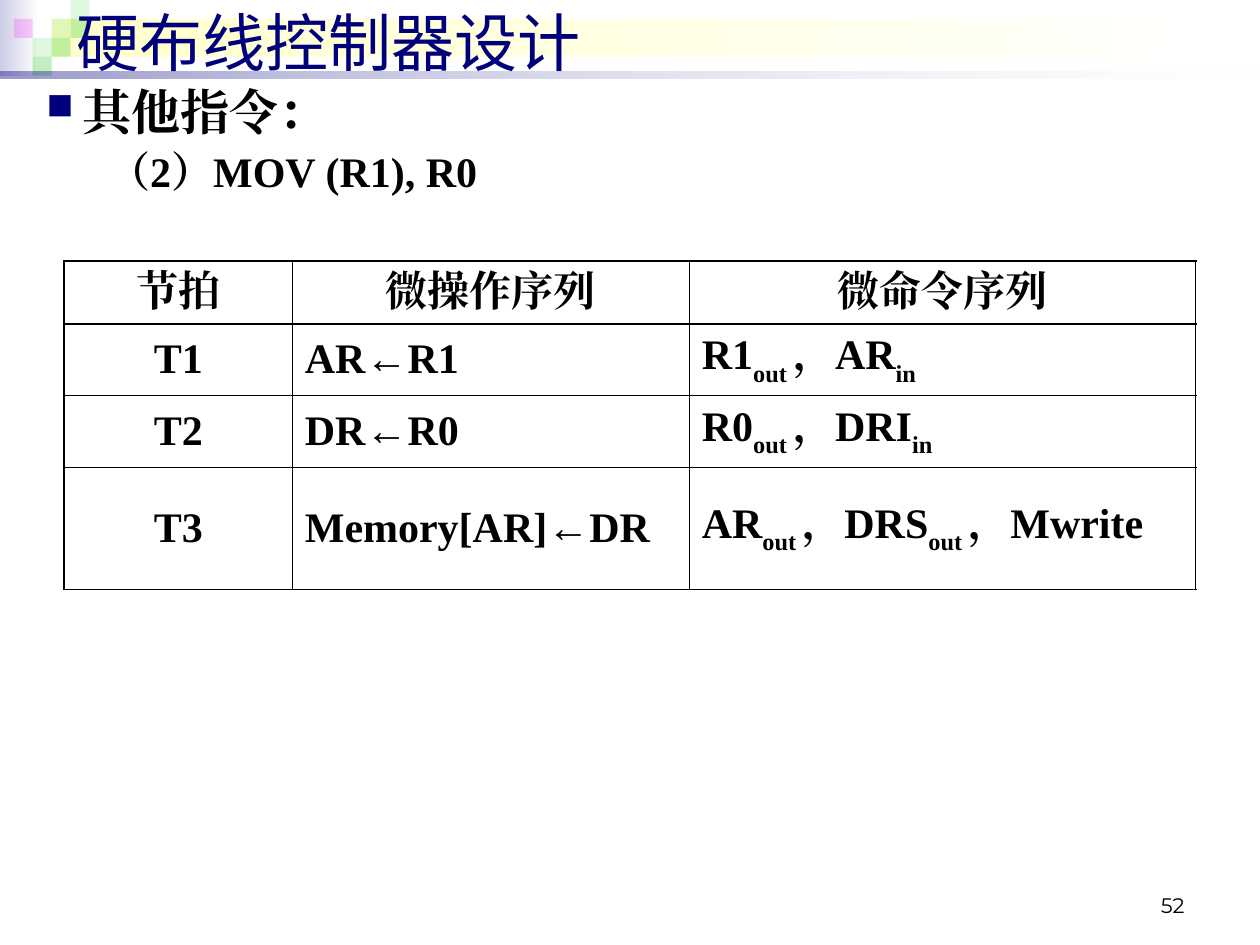
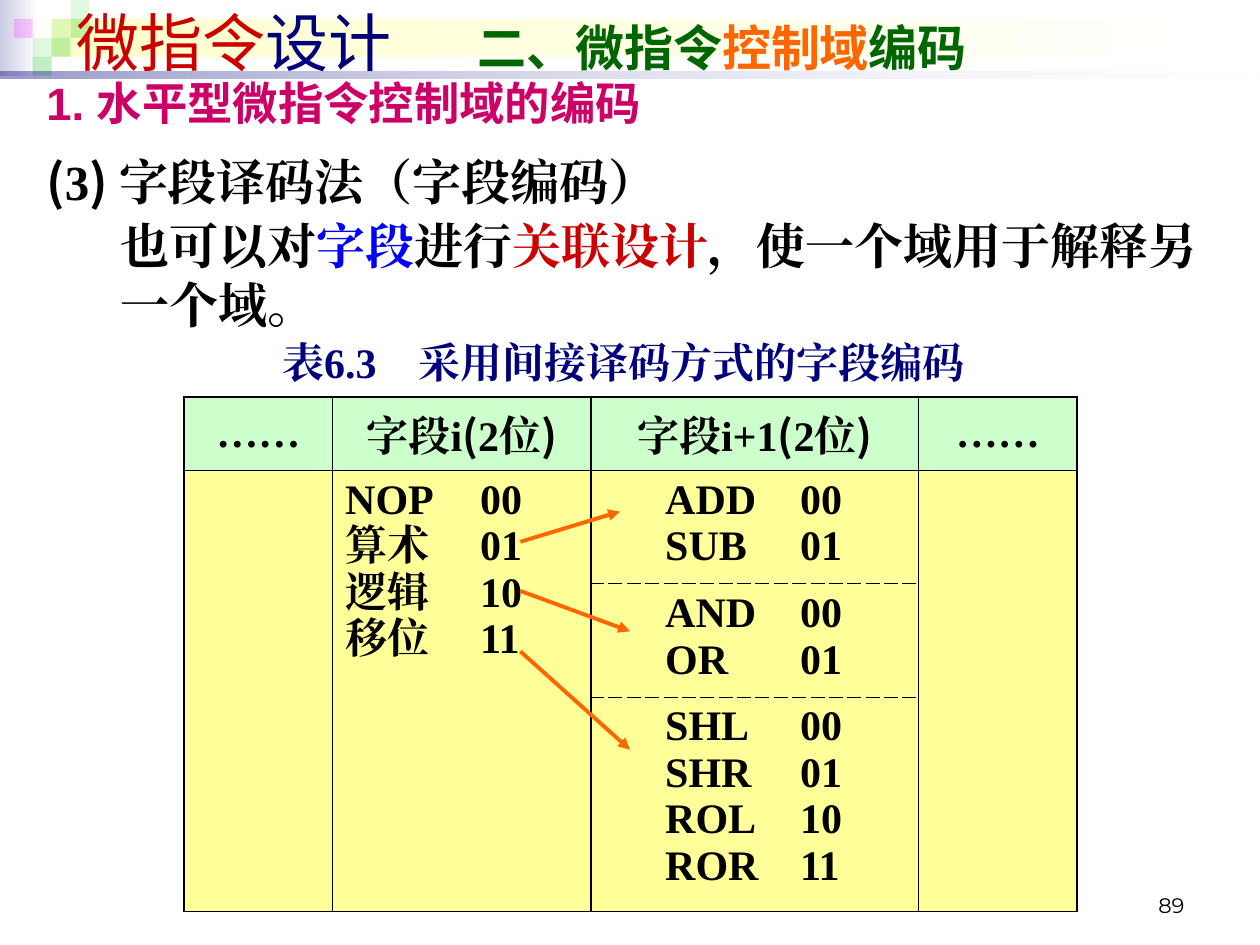
import lxml.etree
import pptx
import pptx.dml.color
import pptx.enum.shapes
import pptx.enum.text
import pptx.oxml
import pptx.oxml.ns
import pptx.util

COLUMNS, ROWS = 100, 75
COLORS = {
    "black": "000000", "white": "FFFFFF", "navy": "00007D", "lavender": "CCCCE6",
    "cream": "FFFFCC", "lime": "33CC33", "magenta": "FF00FF", "red": "CC0000",
    "green": "006600", "orange": "FF6600", "pink": "CC0066", "blue": "0000FF",
    "mint": "CCFFCC", "yellow": "FFFF99",
}
SERIF, SANS, CJK, NUMBER = "Times New Roman", "Arial", "Noto Sans CJK SC", "Montserrat"
ALIGN = pptx.enum.text.PP_ALIGN
ANCHOR = pptx.enum.text.MSO_ANCHOR
RECTANGLE = pptx.enum.shapes.MSO_SHAPE.RECTANGLE
BAND_SQUARES = [
    (2, 1, "lime", 15), (3, 0, "lime", 15), (3, 1, "lime", 30), (1, 2, "lime", 15),
    (0, 1, "magenta", 20), (2, 2, "lime", 30), (1, 3, "lime", 30),
]


def rgb(name):
    return pptx.dml.color.RGBColor.from_string(COLORS[name])


def add_element(parent, tag, **attributes):
    element = lxml.etree.SubElement(parent, pptx.oxml.ns.qn(tag))
    for name, value in attributes.items():
        element.set(name, str(value))
    return element


def add_alpha(parent, percents):
    colors = list(parent.iter(pptx.oxml.ns.qn("a:srgbClr")))
    for color, percent in zip(colors, percents):
        add_element(color, "a:alpha", val=percent * 1000)


def sub(text):
    return text, {"baseline": -30000}


def cjk(text):
    return text, {"font": CJK}


def tinted(text, color):
    return text, {"color": color}


class Deck:
    def __init__(self):
        self.presentation = pptx.Presentation()
        self.presentation.slide_width = pptx.util.Inches(10)
        self.presentation.slide_height = pptx.util.Inches(7.5)
        self.slide = None

    def across(self, columns):
        return round(self.presentation.slide_width * columns / COLUMNS)

    def down(self, rows):
        return round(self.presentation.slide_height * rows / ROWS)

    def box(self, left, top, width, height):
        return self.across(left), self.down(top), self.across(width), self.down(height)

    def start(self, title, number, tab=None):
        self.slide = self.presentation.slides.add_slide(self.presentation.slide_layouts[5])
        self.band()
        shape = self.slide.shapes.title
        shape.left, shape.top, shape.width, shape.height = self.box(5.1, -0.3, 93.7, 7.1)
        self.slide.shapes._spTree.append(shape._element)
        self.frame(shape.text_frame, ANCHOR.MIDDLE)
        self.put_runs(shape.text_frame, [title], tab=tab,
                      font=SANS, size=36, color="navy", bold=False)
        self.text((71.7, 68.3, 23.3, 5), [[number]], anchor=ANCHOR.BOTTOM,
                  align=ALIGN.RIGHT, font=NUMBER, size=12, bold=False)

    def rectangle(self, place):
        shape = self.slide.shapes.add_shape(RECTANGLE, *self.box(*place))
        shape.shadow.inherit = False
        shape.line.fill.background()
        return shape

    def gradient(self, place, color, alphas=()):
        shape = self.rectangle(place)
        shape.fill.gradient()
        shape.fill.gradient_angle = 180
        for stop, name in zip(shape.fill.gradient_stops, ("white", color)):
            stop.color.rgb = rgb(name)
        add_alpha(shape._element.spPr, alphas)

    def band(self):
        self.gradient((0, 0, 3.1, 6), "lavender")
        self.gradient((4.1, 1.5, 95.5, 3), "cream")
        side = 1.5
        for column, row, color, alpha in BAND_SQUARES:
            shape = self.rectangle((1.1 + side * column, side * row, side, side))
            shape.fill.solid()
            shape.fill.fore_color.rgb = rgb(color)
            add_alpha(shape._element.spPr, [alpha])
        self.gradient((0, 5.7, COLUMNS, 0.5), "navy", (10, 40))

    def frame(self, text_frame, anchor):
        text_frame.word_wrap = True
        text_frame.auto_size = pptx.enum.text.MSO_AUTO_SIZE.NONE
        text_frame.vertical_anchor = anchor

    def text(self, place, paragraphs, anchor=ANCHOR.TOP, **style):
        shape = self.slide.shapes.add_textbox(*self.box(*place))
        self.frame(shape.text_frame, anchor)
        self.put_runs(shape.text_frame, paragraphs, **style)
        return shape.text_frame

    def put_runs(self, text_frame, paragraphs, align=ALIGN.LEFT, tab=None, **style):
        for index, runs in enumerate(paragraphs):
            paragraph = text_frame.paragraphs[0] if index == 0 else text_frame.add_paragraph()
            if tab:
                tabs = add_element(paragraph._p.get_or_add_pPr(), "a:tabLst")
                add_element(tabs, "a:tab", pos=self.across(tab), algn="l")
            paragraph.alignment = align
            for item in runs:
                content, changes = (item, {}) if isinstance(item, str) else item
                run = paragraph.add_run()
                run.text = content
                self.style_font(run.font, **{**style, **changes})

    def style_font(self, target, font=SERIF, size=24, bold=True, color="black", baseline=0):
        target.size = pptx.util.Pt(size)
        target.bold = bold
        target.color.rgb = rgb(color)
        target.name = font
        add_element(target._element, "a:ea", typeface=font)
        if baseline:
            target._element.set("baseline", str(baseline))

    def indent(self, paragraph, left, hanging=0, before=0):
        properties = paragraph._p.get_or_add_pPr()
        properties.set("marL", str(self.across(left)))
        properties.set("indent", str(self.across(-hanging)))
        if before:
            paragraph.space_before = pptx.util.Pt(before)

    def bullet(self, paragraph, character, color, percent):
        properties = paragraph._p.get_or_add_pPr()
        add_element(add_element(properties, "a:buClr"), "a:srgbClr", val=COLORS[color])
        add_element(properties, "a:buSzPct", val=percent * 1000)
        add_element(properties, "a:buChar", char=character)

    def table(self, place, widths, heights, merged=()):
        shape = self.slide.shapes.add_table(len(heights), len(widths), *self.box(*place))
        table = shape.table
        table.first_row = table.horz_banding = False
        for column, width in zip(table.columns, widths):
            column.width = self.across(width)
        for row, height in zip(table.rows, heights):
            row.height = self.down(height)
        for column in merged:
            table.cell(1, column).merge(table.cell(len(heights) - 1, column))
        return table

    def rule_cells(self, table, outer, upright, level, dash="solid"):
        last_row, last_column = len(table.rows) - 1, len(table.columns) - 1
        strong, side, inner = (outer, "solid"), (upright, "solid"), (level, dash)
        for row in range(last_row + 1):
            for column in range(last_column + 1):
                cell = table.cell(row, column)
                if cell.is_spanned:
                    continue
                end = row + cell.span_height - 1
                self.borders(cell, {
                    "a:lnL": strong if column == 0 else side,
                    "a:lnR": strong if column == last_column else side,
                    "a:lnT": strong if row <= 1 else inner,
                    "a:lnB": strong if end in (0, last_row) else inner,
                })

    def borders(self, cell, sides):
        properties = cell._tc.get_or_add_tcPr()
        for tag, (width, dash) in sides.items():
            line = add_element(properties, tag, w=pptx.util.Pt(width))
            add_element(add_element(line, "a:solidFill"), "a:srgbClr", val=COLORS["black"])
            add_element(line, "a:prstDash", val=dash)

    def cell(self, cell, paragraphs, fill=None, anchor=ANCHOR.MIDDLE, **style):
        cell.vertical_anchor = anchor
        if fill:
            cell.fill.solid()
            cell.fill.fore_color.rgb = rgb(fill)
        else:
            cell.fill.background()
        self.put_runs(cell.text_frame, paragraphs, **style)

    def arrow(self, start, end, color):
        points = self.box(*start, *end)
        kind = pptx.enum.shapes.MSO_CONNECTOR.STRAIGHT
        connector = self.slide.shapes.add_connector(kind, *points)
        connector.line.color.rgb = rgb(color)
        connector.line.width = pptx.util.Pt(2.25)
        add_element(connector.line._get_or_add_ln(), "a:tailEnd", type="triangle")
        add_element(connector._element.spPr, "a:effectLst")


def build_move_slide(deck):
    deck.start(["硬布线控制器设计"], "52")
    body = deck.text((2.7, 6, 96.1, 10.2), [
        [("其他指令：", {"size": 28})],
        ["（2）MOV (R1), R0"],
    ])
    heading, instruction = body.paragraphs
    deck.bullet(heading, "■", "navy", 75)
    deck.indent(heading, 2.9, hanging=2.9)
    deck.indent(instruction, 7.9, hanging=3, before=3)

    steps = [
        (["节拍"], ["微操作序列"], ["微命令序列"]),
        (["T1"], ["AR←R1"], ["R1", sub("out "), "，AR", sub("in")]),
        (["T2"], ["DR←R0"], ["R0", sub("out "), "，DRI", sub("in")]),
        (["T3"], ["Memory[AR]←DR"],
         ["AR", sub("out "), "，DRS", sub("out "), "，Mwrite"]),
    ]
    table = deck.table((5.1, 20.7, 89.8, 26.1), (18.1, 31.5, 40.2), (5, 5.7, 5.7, 9.7))
    deck.rule_cells(table, outer=1.08, upright=0.45, level=0.34)
    for row, step in enumerate(steps):
        for column, runs in enumerate(step):
            centred = row == 0 or column == 0
            deck.cell(table.cell(row, column), [runs],
                      align=ALIGN.CENTER if centred else ALIGN.LEFT)


def build_field_slide(deck):
    second_part = {"size": 28, "bold": True}
    deck.start([
        tinted("微指令", "red"), "设计\t",
        ("二、微指令", {"color": "green", **second_part}),
        ("控制域", {"color": "orange", **second_part}),
        ("编码", {"color": "green", **second_part}),
    ], "89", tab=31.8)
    heading = deck.text((2.7, 6, 94.6, 5.5), [["1. 水平型微指令控制域的编码"]],
                        font=SANS, size=25.9, color="pink")
    heading.paragraphs[0].line_spacing = 0.9
    body = deck.text((2.7, 11.5, 96.1, 17.3), [
        [cjk("("), "3", cjk(") "), "字段译码法（字段编码）"],
        ["也可以对", tinted("字段", "blue"), "进行", tinted("关联设计", "red"),
         "，使一个域用于解释另一个域。"],
    ], size=28)
    deck.indent(body.paragraphs[0], 3.9, hanging=3.9)
    deck.indent(body.paragraphs[1], 5.9, before=3.5)

    table = deck.table((14.6, 31.5, 70.9, 40), (11.8, 20.5, 26, 12.6), (5, 9, 9, 17),
                       merged=(0, 1, 3))
    deck.rule_cells(table, outer=1.08, upright=1.08, level=0.75, dash="dash")
    headers = [
        ["……"],
        ["字段i", cjk("("), "2位", cjk(")")],
        ["字段i+1", cjk("("), "2位", cjk(")")],
        ["……"],
    ]
    for column, runs in enumerate(headers):
        deck.cell(table.cell(0, column), [runs], fill="mint", align=ALIGN.CENTER)
    codes = {
        (1, 0): [],
        (1, 1): ["NOP\t00", "算术\t01", "逻辑\t10", "移位\t11"],
        (1, 2): ["ADD\t00", "SUB\t01"],
        (2, 2): ["AND\t00", "OR\t01"],
        (3, 2): ["SHL\t00", "SHR\t01", "ROL\t10", "ROR\t11"],
        (1, 3): [],
    }
    for (row, column), lines in codes.items():
        cell = table.cell(row, column)
        deck.cell(cell, [[line] for line in lines], fill="yellow", anchor=ANCHOR.TOP, tab=10.7)
        if column == 2:
            cell.margin_left = deck.across(5.9)

    for start, end in [((41.3, 43), (49.2, 40.6)), ((41.3, 46.9), (50, 50.1)),
                       ((41.3, 51.7), (50, 59.5))]:
        deck.arrow(start, end, "orange")
    deck.text((21.4, 26.2, 57.7, 5), [["表6.3\t采用间接译码方式的字段编码"]],
              anchor=ANCHOR.MIDDLE, tab=10.8, color="navy")


def main():
    deck = Deck()
    build_move_slide(deck)
    build_field_slide(deck)
    deck.presentation.save("out.pptx")


if __name__ == "__main__":
    main()
